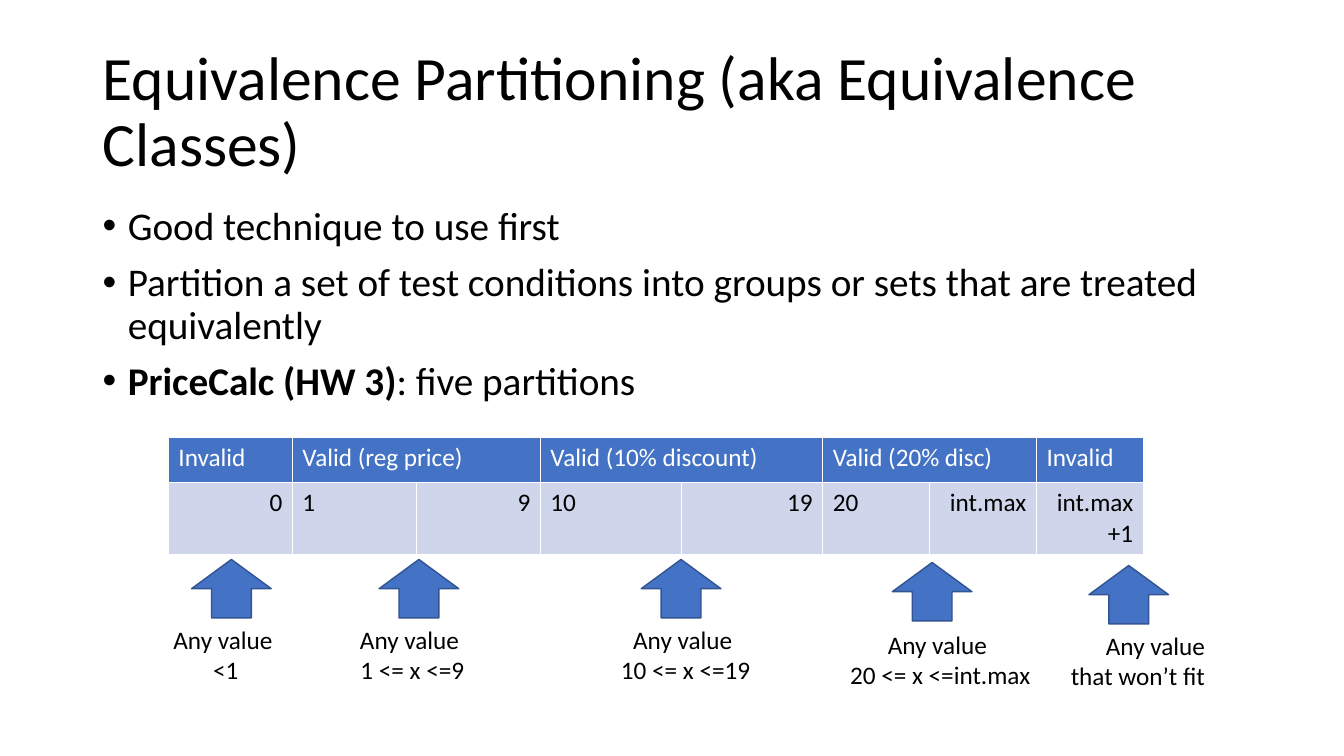
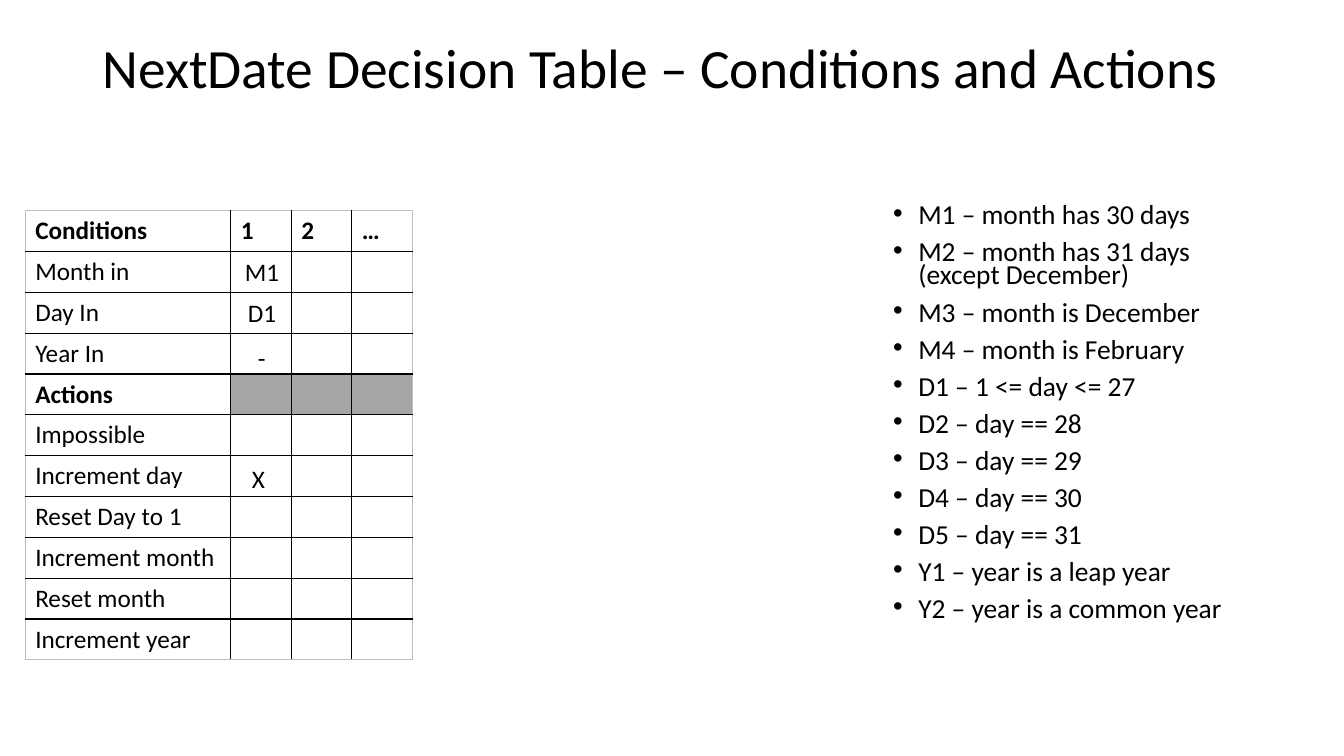
from lxml import etree
from pptx import Presentation
from pptx.dml.color import RGBColor
from pptx.enum.shapes import MSO_SHAPE
from pptx.enum.text import MSO_ANCHOR, MSO_AUTO_SIZE, PP_ALIGN
from pptx.oxml.ns import qn
from pptx.util import Inches, Pt

# Shared style
FONT = "Calibri"
COLORS = {"text": "000000", "white": "FFFFFF", "accent": "4472C4", "outline": "325491",
          "band": "CFD5EA", "gray": "A6A6A6", "edge": "BFBFBF"}
LEFT, CENTER, RIGHT = PP_ALIGN.LEFT, PP_ALIGN.CENTER, PP_ALIGN.RIGHT

# Slide 1 content
PARTITION_TITLE = "Equivalence Partitioning (aka Equivalence Classes)"
PARTITION_BULLETS = [
    "Good technique to use first",
    "Partition a set of test conditions into groups or sets that are treated equivalently",
    [("PriceCalc (HW 3)", True), (": five partitions", False)],
]
PARTITION_COLUMNS = [1.23, 1.23, 1.23, 1.4, 1.4, 1.06, 1.06, 1.06]
# heading, boundary values with their alignment
PARTITIONS = [
    ("Invalid", [("0", RIGHT)]),
    ("Valid (reg price)", [("1", LEFT), ("9", RIGHT)]),
    ("Valid (10% discount)", [("10", LEFT), ("19", RIGHT)]),
    ("Valid (20% disc)", [("20", LEFT), ("int.max", RIGHT)]),
    ("Invalid", [("int.max+1", RIGHT)]),
]
# arrow left and top, label left, top and width, label lines
ARROWS = [
    (1.9, 5.55, 1.59, 6.14, 1.3, ["Any value ", "<1"]),
    (3.76, 5.55, 3.44, 6.14, 1.3, ["Any value ", "1 <= x <=9"]),
    (6.36, 5.55, 6.05, 6.14, 1.5, ["Any value ", "10 <= x <=19"]),
    (8.85, 5.58, 8.32, 6.19, 2.01, ["Any value ", "20 <= x <=int.max"]),
    (10.8, 5.61, 10.49, 6.2, 1.56, ["Any value that won’t fit"]),
]

# Slide 2 content
DECISION_TITLE = "NextDate Decision Table – Conditions and Actions"
DECISION_COLUMNS = [2.04, 0.6, 0.6, 0.6]
DECISION_HEADINGS = ["Conditions", "1", "2", "…"]
DECISION_ROWS = ["Month in", "Day In", "Year In", "Actions", "Impossible", "Increment day",
                 "Reset Day to 1", "Increment month", "Reset month", "Increment year"]
CLASSES = [
    "M1 – month has 30 days", "M2 – month has 31 days (except December)",
    "M3 – month is December", "M4 – month is February", "D1 – 1 <= day <= 27",
    "D2 – day == 28", "D3 – day == 29", "D4 – day == 30", "D5 – day == 31",
    "Y1 – year is a leap year", "Y2 – year is a common year",
]
RULE_MARKS = [("M1", 2.33, 2.49, 0.55), ("D1", 2.36, 2.9, 0.49),
              ("-", 2.46, 3.35, 0.28), ("X", 2.4, 4.55, 0.33)]


def rgb(name):
    return RGBColor.from_string(COLORS[name])


def write(paragraph, content, size=18, color="text", bold=False, **paragraph_format):
    """Fill a paragraph from a string or a list of (text, bold) runs."""
    for name, value in paragraph_format.items():
        setattr(paragraph, name, value)
    runs = [(content, bold)] if isinstance(content, str) else content
    for text, run_bold in runs:
        run = paragraph.add_run()
        run.text = text
        for name, value in {"name": FONT, "size": Pt(size), "bold": run_bold}.items():
            setattr(run.font, name, value)
        run.font.color.rgb = rgb(color)


def add_bullet(paragraph):
    properties = paragraph._p.get_or_add_pPr()
    properties.set("marL", str(Inches(0.25)))
    properties.set("indent", str(-Inches(0.25)))
    etree.SubElement(properties, qn("a:buFont"), typeface="Arial")
    etree.SubElement(properties, qn("a:buChar"), char="•")


def add_text(slide, box, paragraphs, size=18, bullets=False, wrap=True, grow=False,
             anchor=MSO_ANCHOR.TOP, **paragraph_format):
    frame = slide.shapes.add_textbox(*map(Inches, box)).text_frame
    frame.word_wrap = wrap
    frame.vertical_anchor = anchor
    frame.auto_size = MSO_AUTO_SIZE.SHAPE_TO_FIT_TEXT if grow else MSO_AUTO_SIZE.NONE
    for index, content in enumerate(paragraphs):
        paragraph = frame.add_paragraph() if index else frame.paragraphs[0]
        if bullets:
            add_bullet(paragraph)
            paragraph.space_before = Pt(10 if index else 0)
        write(paragraph, content, size, **paragraph_format)


def add_title(slide, text, top, height, size):
    add_text(slide, (0.92, top, 11.5, height), [text], size,
             anchor=MSO_ANCHOR.MIDDLE, line_spacing=0.9)


def add_grid(slide, left, top, widths, heights):
    frame = slide.shapes.add_table(len(heights), len(widths), Inches(left), Inches(top),
                                   Inches(sum(widths)), Inches(sum(heights)))
    table = frame.table
    table.first_row = table.horz_banding = False
    for column, width in zip(table.columns, widths):
        column.width = Inches(width)
    for row, height in zip(table.rows, heights):
        row.height = Inches(height)
    return table


def style_cell(cell, fill, borders):
    """Set borders, given as side: (color, points), and then the fill."""
    properties = cell._tc.get_or_add_tcPr()
    for side in "LRTB":
        color, width = borders[side]
        line = etree.SubElement(properties, qn(f"a:ln{side}"), w=str(Pt(width)))
        solid = etree.SubElement(line, qn("a:solidFill"))
        etree.SubElement(solid, qn("a:srgbClr"), val=COLORS[color])
    if fill:
        cell.fill.solid()
        cell.fill.fore_color.rgb = rgb(fill)
    else:
        cell.fill.background()


def build_partition_slide(slide):
    add_title(slide, PARTITION_TITLE, 0.4, 1.45, 44)
    add_text(slide, (0.92, 2, 11.5, 4.76), PARTITION_BULLETS, 28, bullets=True,
             line_spacing=0.9)

    # Partition table
    table = add_grid(slide, 1.67, 4.34, PARTITION_COLUMNS, [0.45, 0.7])
    for row, fill in enumerate(["accent", "band"]):
        for column in range(len(PARTITION_COLUMNS)):
            borders = dict.fromkeys("LRTB", ("white", 1))
            style_cell(table.cell(row, column), fill, borders)
    column = 0
    for heading, values in PARTITIONS:
        first = table.cell(0, column)
        if len(values) > 1:
            first.merge(table.cell(0, column + len(values) - 1))
        write(first.text_frame.paragraphs[0], heading, color="white")
        for value, alignment in values:
            write(table.cell(1, column).text_frame.paragraphs[0], value, alignment=alignment)
            column += 1

    # Arrows and their labels
    for arrow_left, arrow_top, left, top, width, lines in ARROWS:
        arrow = slide.shapes.add_shape(MSO_SHAPE.UP_ARROW, Inches(arrow_left),
                                       Inches(arrow_top), Inches(0.79), Inches(0.58))
        arrow.shadow.inherit = False
        arrow.fill.solid()
        arrow.fill.fore_color.rgb = rgb("accent")
        arrow.line.color.rgb = rgb("outline")
        arrow.line.width = Pt(1)
        wrapped = len(lines) == 1
        add_text(slide, (left, top, width, 0.71), lines, wrap=wrapped, grow=True,
                 alignment=RIGHT if wrapped else CENTER)


def build_decision_slide(slide):
    add_title(slide, DECISION_TITLE, 0.17, 1.06, 39.6)

    # Decision table: black inner rules, pale outer edge
    rows = [DECISION_HEADINGS] + [[label, "", "", ""] for label in DECISION_ROWS]
    table = add_grid(slide, 0.25, 2.09, DECISION_COLUMNS, [4.46 / len(rows)] * len(rows))
    inner, outer = ("text", 1), ("edge", 0.75)
    for row, texts in enumerate(rows):
        for column, text in enumerate(texts):
            cell = table.cell(row, column)
            at_edge = {"L": column == 0, "R": column == len(texts) - 1,
                       "T": row == 0, "B": row == len(rows) - 1}
            borders = {side: outer if edge else inner for side, edge in at_edge.items()}
            is_actions = texts[0] == "Actions"
            style_cell(cell, "gray" if is_actions and column else None, borders)
            if text:
                write(cell.text_frame.paragraphs[0], text, bold=row == 0 or is_actions)

    # Equivalence classes and the marks of the first rule
    add_text(slide, (8.76, 2, 3.66, 4.76), CLASSES, 19.6, bullets=True, line_spacing=0.7)
    for mark, left, top, width in RULE_MARKS:
        add_text(slide, (left, top, width, 0.4), [mark], wrap=False, grow=True)


def main():
    presentation = Presentation()
    presentation.slide_width, presentation.slide_height = Inches(13.33), Inches(7.5)
    for build in (build_partition_slide, build_decision_slide):
        build(presentation.slides.add_slide(presentation.slide_layouts[6]))
    presentation.save("out.pptx")


if __name__ == "__main__":
    main()
